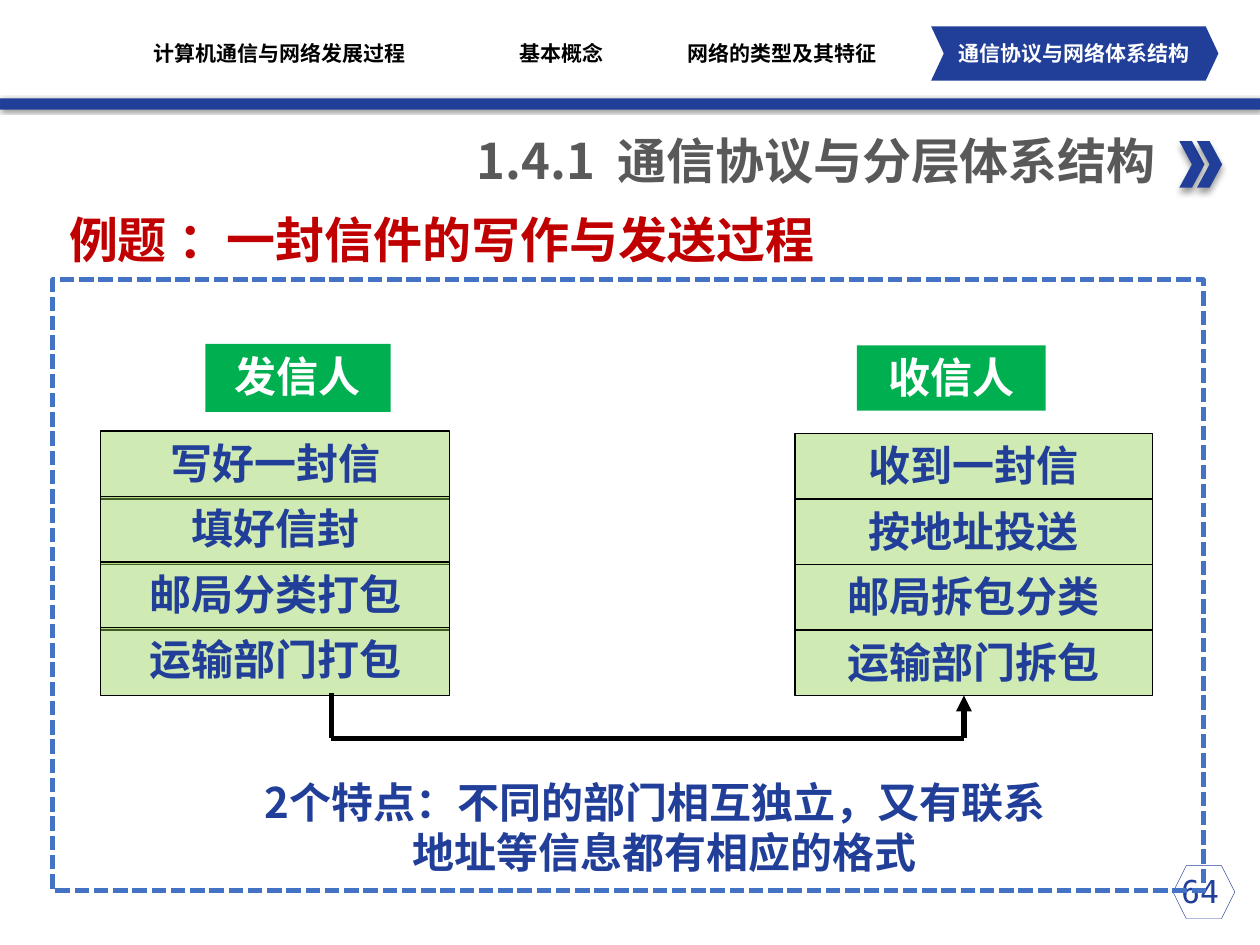
from dataclasses import dataclass

from lxml import etree
from pptx import Presentation
from pptx import util as u
from pptx.dml.color import RGBColor
from pptx.enum import dml, shapes, text
from pptx.oxml.ns import qn

COLOURS = {"navy": "213F99", "blue": "4472C4", "grey": "595959", "red": "C00000",
           "leaf": "92D050", "green": "00B050", "black": "000000", "white": "FFFFFF"}
CJK = "Noto Sans CJK SC"
COLUMNS, ROWS = 100, 75
HANG = 0.38

deck = Presentation()
deck.slide_width, deck.slide_height = u.Inches(10), u.Inches(7.5)
page = deck.slides.add_slide(deck.slide_layouts[6])
CELL_W, CELL_H = deck.slide_width / COLUMNS, deck.slide_height / ROWS


@dataclass(frozen=True)
class Box:
    """A rectangle in grid columns and rows."""
    left: float
    top: float
    width: float
    height: float

    def emu(self) -> list[int]:
        return [round(self.left * CELL_W), round(self.top * CELL_H),
                round(self.width * CELL_W), round(self.height * CELL_H)]


@dataclass(frozen=True)
class Style:
    size: int
    colour: str
    font: str = CJK
    bold: bool = True
    align: text.PP_ALIGN = text.PP_ALIGN.CENTER


@dataclass(frozen=True)
class Line:
    """A paragraph; gap is extra spacing in points after its first word."""
    words: str
    margin: float = 0
    indent: float = 0
    gap: float = 0


@dataclass(frozen=True)
class Shadow:
    blur: float
    distance: float
    angle: int


@dataclass(frozen=True)
class Stack:
    """A column of steps under a heading."""
    heading: str
    heading_box: Box
    first_step: Box
    pitch: float
    steps: tuple[str, ...]


def rgb(name: str) -> RGBColor:
    return RGBColor.from_string(COLOURS[name])


def write(frame, lines: list[Line], style: Style) -> None:
    for number, line in enumerate(lines):
        para = frame.paragraphs[0] if number == 0 else frame.add_paragraph()
        para.alignment = style.align
        if line.margin:
            props = para._p.get_or_add_pPr()
            props.set("marL", str(u.Inches(line.margin)))
            props.set("indent", str(u.Inches(line.indent)))
        first, space, rest = line.words.partition(" ")
        pieces = [(first, 0), (space, line.gap), (rest, 0)] if line.gap else [(line.words, 0)]
        for words, spacing in pieces:
            span = para.add_run()
            span.text = words
            values = {"name": style.font, "size": u.Pt(style.size), "bold": style.bold}
            for key, value in values.items():
                setattr(span.font, key, value)
            span.font.color.rgb = rgb(style.colour)
            props = span._r.get_or_add_rPr()
            etree.SubElement(props, qn("a:ea")).set("typeface", CJK)
            if spacing:
                props.set("spc", str(round(spacing * 100)))


def add_text(box: Box, lines: list[Line], style: Style, wrap: bool = True,
             tight: bool = False) -> None:
    frame = page.shapes.add_textbox(*box.emu()).text_frame
    values = {"word_wrap": wrap}
    if tight:
        values |= dict.fromkeys(
            ("margin_left", "margin_right", "margin_top", "margin_bottom"), 0)
        values["vertical_anchor"] = text.MSO_ANCHOR.MIDDLE
    for key, value in values.items():
        setattr(frame, key, value)
    write(frame, lines, style)


def add_shadow(shape, shadow: Shadow) -> None:
    effects = shape._element.spPr.find(qn("a:effectLst"))
    outer = etree.SubElement(effects, qn("a:outerShdw"), blurRad=str(u.Pt(shadow.blur)),
                             dist=str(u.Pt(shadow.distance)), dir=str(shadow.angle * 60000),
                             algn="tl", rotWithShape="0")
    colour = etree.SubElement(outer, qn("a:srgbClr"), val=COLOURS["black"])
    etree.SubElement(colour, qn("a:alpha"), val="40000")


def add_shape(kind, box: Box, fill: str = "", opacity: int = 100, line: str = "",
              weight: float = 0, shadow: Shadow | None = None, parent=page):
    shape = parent.shapes.add_shape(kind, *box.emu())
    shape.shadow.inherit = False
    if fill:
        shape.fill.solid()
        shape.fill.fore_color.rgb = rgb(fill)
        if opacity < 100:
            colour = shape.fill._xPr.find(qn("a:solidFill"))[0]
            etree.SubElement(colour, qn("a:alpha"), val=str(opacity * 1000))
    else:
        shape.fill.background()
    if line:
        shape.line.color.rgb = rgb(line)
        shape.line.width = u.Pt(weight)
    else:
        shape.line.fill.background()
    if shadow:
        add_shadow(shape, shadow)
    return shape


def add_label(box: Box, words: str, colour: str, **look) -> None:
    shape = add_shape(KIND.RECTANGLE, box, **look)
    shape.text_frame.vertical_anchor = text.MSO_ANCHOR.TOP
    write(shape.text_frame, [Line(words, HANG, -HANG)], Style(24, colour))


def add_stack(stack: Stack) -> None:
    first = stack.first_step
    for row, step in enumerate(stack.steps):
        box = Box(first.left, first.top + row * stack.pitch, first.width, first.height)
        add_label(box, step, "navy", fill="leaf", opacity=44, line="black", weight=0.75)
    add_label(stack.heading_box, stack.heading, "white", fill="green")


def add_route(points: list[tuple[float, float]]) -> None:
    """Straight pieces through the points, with an arrowhead at the last."""
    for start, end in zip(points, points[1:]):
        ends = Box(*start, *end).emu()
        piece = page.shapes.add_connector(shapes.MSO_CONNECTOR.STRAIGHT, *ends)
        piece.line.color.rgb = rgb("black")
        piece.line.width = u.Pt(3)
        etree.SubElement(piece._element.spPr, qn("a:effectLst"))
        if end == points[-1]:
            etree.SubElement(piece.line._get_or_add_ln(), qn("a:tailEnd"), type="triangle")


KIND = shapes.MSO_SHAPE
add_shape(KIND.HEXAGON, Box(93.1, 68.7, 4.9, 4.2), line="navy", weight=0.25)
add_shape(KIND.RECTANGLE, Box(0, 7.8, COLUMNS, 0.9), fill="navy", shadow=Shadow(2, 1, 45))
marks = page.shapes.add_group_shape()
for left in (93.6, 95):
    add_shape(KIND.CHEVRON, Box(left, 11.2, 2, 3.7), fill="navy",
              shadow=Shadow(4, 3, 90), parent=marks)
add_text(Box(90.9, 68.7, 8.7, 4), [Line("64")],
         Style(18, "navy", "DejaVu Sans Mono", bold=False))
add_text(Box(23.2, 9.9, 69.5, 5.7), [Line("1.4.1 通信协议与分层体系结构", gap=6.3)],
         Style(28, "grey", align=text.PP_ALIGN.RIGHT))
frame_border = add_shape(KIND.RECTANGLE, Box(4.2, 22.2, 91.3, 48.5), line="blue", weight=2.75)
frame_border.line.dash_style = dml.MSO_LINE.SQUARE_DOT

active_tab = add_shape(KIND.CHEVRON, Box(73.9, 2.1, 22.8, 4.3), fill="navy")
active_tab.adjustments[0] = 0.234
for left, width, words, colour in (
        (72.7, 25.1, "通信协议与网络体系结构", "white"),
        (10.9, 22.6, "计算机通信与网络发展过程", "black"),
        (37.3, 14.5, "基本概念", "black"),
        (53.8, 16.5, "网络的类型及其特征", "black")):
    add_text(Box(left, 3.2, width, 2), [Line(words)],
             Style(12, colour, "Roboto Condensed"), tight=True)

add_text(Box(2.7, 16.1, 64.4, 5.7), [Line("例题 ：一封信件的写作与发送过程", 0.18)],
         Style(28, "red", align=text.PP_ALIGN.LEFT), wrap=False)
add_stack(Stack("发信人", Box(16.3, 27.3, 14.7, 5.4), Box(8, 34.2, 27.7, 5.4), 5.2,
                ("写好一封信", "填好信封", "邮局分类打包", "运输部门打包")))
add_stack(Stack("收信人", Box(68, 27.4, 15, 5.2), Box(63.1, 34.4, 28.4, 5.2), 5.2,
                ("收到一封信", "按地址投送", "邮局拆包分类", "运输部门拆包")))
add_route([(26.3, 55), (26.3, 58.6), (76.5, 58.6), (76.5, 55.2)])
add_text(Box(5.9, 61.1, 92.2, 9.1),
         [Line("2个特点：不同的部门相互独立，又有联系"), Line("地址等信息都有相应的格式", 0.14)],
         Style(24, "navy"))

deck.save("out.pptx")
